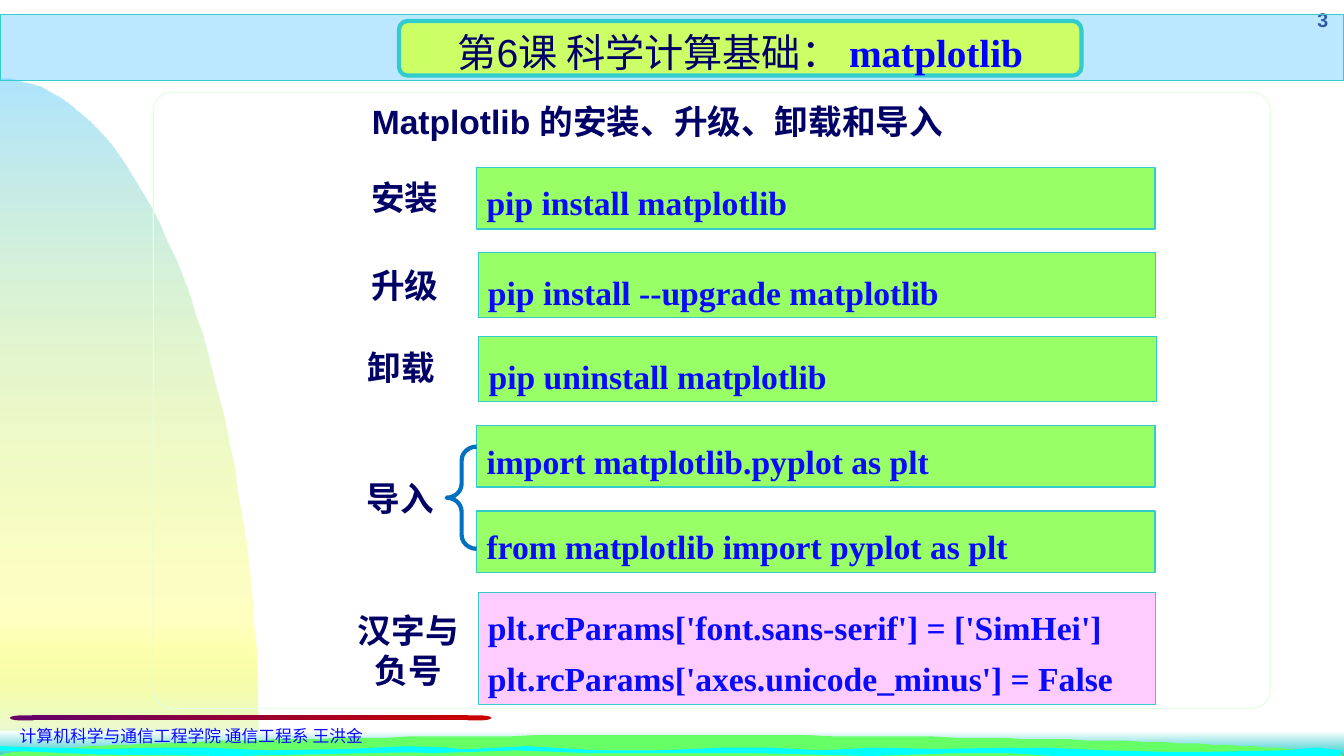
"""Build the slide on installing, upgrading, removing and importing matplotlib."""
from dataclasses import dataclass

from pptx import Presentation
from pptx.dml.color import RGBColor
from pptx.enum.shapes import MSO_SHAPE as Preset
from pptx.enum.text import MSO_ANCHOR as Anchor, MSO_AUTO_SIZE as AutoSize, PP_ALIGN as Align
from pptx.oxml import parse_xml
from pptx.oxml.ns import nsdecls, qn
from pptx.util import Pt

WHITE = RGBColor(0xFF, 0xFF, 0xFF)
NAVY = RGBColor(0x00, 0x00, 0x66)
BLUE = RGBColor(0x00, 0x00, 0xFF)
CODE_BLUE = RGBColor(0x0A, 0x0A, 0xFF)
BRACE_BLUE = RGBColor(0x00, 0x70, 0xC0)
SKY = RGBColor(0x66, 0xCC, 0xFF)
PALE_SKY = RGBColor(0xDF, 0xF9, 0xF9)
TEAL = RGBColor(0x33, 0xCC, 0xCC)
CYAN = RGBColor(0x00, 0xFF, 0xFF)
YELLOW = RGBColor(0xFF, 0xFF, 0x00)
GREEN = RGBColor(0x99, 0xFF, 0x66)
HILL_GREEN = RGBColor(0x66, 0xFF, 0x66)
PALE_GREEN = RGBColor(0xE1, 0xFF, 0xE1)
LIME = RGBColor(0xCC, 0xFF, 0x66)
PINK = RGBColor(0xFF, 0xCC, 0xFF)
PURPLE = RGBColor(0x66, 0x00, 0x66)
RED = RGBColor(0xC8, 0x00, 0x00)

SANS, SERIF, CHINESE = "Arial", "Times New Roman", "Noto Sans CJK SC"


@dataclass
class Box:
    left: float
    top: float
    width: float
    height: float

    def lengths(self) -> tuple:
        return Pt(self.left), Pt(self.top), Pt(self.width), Pt(self.height)


@dataclass
class Stop:
    percent: int
    color: RGBColor
    opacity: int = 100


@dataclass
class Label:
    text: str
    box: Box
    wrap: bool = False


@dataclass
class Command:
    lines: list
    box: Box
    spacing: float = 1.25
    border: float = 1
    fill: RGBColor = GREEN


LABELS = [
    Label("安装", Box(258, 123, 63, 36)),
    Label("升级", Box(258, 186, 63, 36)),
    Label("卸载", Box(255.5, 244, 63, 36)),
    Label("导入", Box(255, 338, 63, 36)),
    Label("汉字与负号", Box(245, 432, 93.5, 65.5), True),
]
COMMANDS = [
    Command(["pip install matplotlib"], Box(340.5, 119.5, 484.5, 44)),
    Command(["pip install --upgrade matplotlib"], Box(341.5, 180.5, 484, 46.5), 1.35, 0.75),
    Command(["pip uninstall matplotlib"], Box(342, 240.5, 484, 46.5), 1.35, 0.75),
    Command(["import matplotlib.pyplot as plt"], Box(340.5, 304, 484.5, 44)),
    Command(["from matplotlib import pyplot as plt"], Box(340.5, 365, 484.5, 44)),
    Command(["plt.rcParams['font.sans-serif'] = ['SimHei']", "plt.rcParams['axes.unicode_minus'] = False"],
            Box(341.5, 423, 484, 80), border=0.75, fill=PINK),
]
WAVES = [
    [(698, 535), (746, 534), (790, 535.5), (830, 537), (866, 537), (917, 535.5), (940, 534),
     (958, 535.5), (957, 540), (816, 540), (753, 540), (719, 538), (675, 538.5)],
    [(725, 533.5), (722, 536.5), (680, 538.5), (622, 540), (582, 539), (539, 538), (485, 538.5),
     (421, 538), (369, 536.5), (308, 538), (287, 537), (298, 535.5), (337, 535), (376, 533),
     (428, 535.5), (471, 535.5), (518, 533.5), (550, 534), (586, 535.5), (624, 534), (667, 535)],
    [(312, 537), (261, 538), (166, 540), (71, 539), (0, 536.5), (0, 533), (32, 534), (76, 535),
     (110, 533.5), (147, 533.5), (192, 535.5), (248, 535), (290, 533), (320, 534), (336, 536.5)],
]


def curve(start: tuple, first: tuple, second: tuple, end: tuple, steps: int = 40) -> list:
    """Sample a cubic Bezier curve."""
    weights = [((1 - t) ** 3, 3 * t * (1 - t) ** 2, 3 * t * t * (1 - t), t ** 3)
               for t in (step / steps for step in range(steps + 1))]
    return [tuple(sum(weight * point[axis] for weight, point in zip(row, (start, first, second, end)))
                  for axis in (0, 1)) for row in weights]


def style(shape, fill: RGBColor = None, line: RGBColor = None, width: float = 0.75):
    """Set fill and outline, and drop the shadow."""
    shape.shadow.inherit = False
    if fill is None:
        shape.fill.background()
    else:
        shape.fill.solid()
        shape.fill.fore_color.rgb = fill
    if line is None:
        shape.line.fill.background()
    else:
        shape.line.color.rgb = line
        shape.line.width = Pt(width)
    return shape


def add_preset(page, preset: Preset, box: Box, fill: RGBColor = None, line: RGBColor = None,
               width: float = 0.75, corner: float = None):
    """Add a styled preset shape."""
    shape = page.shapes.add_shape(preset, *box.lengths())
    if corner is not None:
        shape.adjustments[0] = corner
    return style(shape, fill, line, width)


def add_outline(page, points: list, fill: RGBColor):
    """Add a filled polygon."""
    builder = page.shapes.build_freeform(*points[0], scale=Pt(1))
    builder.add_line_segments(points[1:], close=True)
    return style(builder.convert_to_shape(), fill)


def set_gradient(shape, stops: list, angle: int) -> None:
    """Replace the solid fill by a linear gradient."""
    marks = "".join(
        f'<a:gs pos="{stop.percent * 1000}"><a:srgbClr val="{stop.color}">'
        f'<a:alpha val="{stop.opacity * 1000}"/></a:srgbClr></a:gs>' for stop in stops)
    gradient = parse_xml(f'<a:gradFill {nsdecls("a")} rotWithShape="1"><a:gsLst>{marks}</a:gsLst>'
                         f'<a:lin ang="{angle * 60000}" scaled="0"/></a:gradFill>')
    properties = shape.element.spPr
    properties.replace(properties.find(qn("a:solidFill")), gradient)


def set_font(font, size: float, color: RGBColor, name: str = SANS, bold: bool = False) -> None:
    """Format one font."""
    font.size, font.bold, font.name = Pt(size), bold, name
    font.color.rgb = color


def write(shape, lines: list, size: float, color: RGBColor, name: str = SANS, bold: bool = True,
          align: Align = Align.LEFT, spacing: float = 1, wrap: bool = True) -> None:
    """Write equally formatted paragraphs from the top of a shape."""
    frame = shape.text_frame
    frame.word_wrap, frame.auto_size, frame.vertical_anchor = wrap, AutoSize.NONE, Anchor.TOP
    frame.text = "\n".join(lines)
    for para in frame.paragraphs:
        para.alignment, para.line_spacing = align, spacing
        set_font(para.font, size, color, name, bold)


def add_text(page, box: Box, text: str, size: float, color: RGBColor, **options) -> None:
    """Add a one-paragraph text box."""
    write(page.shapes.add_textbox(*box.lengths()), [text], size, color, **options)


def draw_backdrop(page) -> None:
    """Draw the decoration, page number and footer."""
    wedge = add_outline(page, curve((0, 56), (102, 56), (185, 273), (185, 540)) + [(0, 540)], SKY)
    set_gradient(wedge, [Stop(0, SKY, 52), Stop(80, YELLOW, 23), Stop(100, PALE_SKY)], 90)
    ground = add_preset(page, Preset.RECTANGLE, Box(0, 522, 960, 18), WHITE)
    set_gradient(ground, [Stop(0, WHITE), Stop(100, TEAL)], 90)
    add_outline(page, curve((0, 540), (0, 533), (215, 525), (479.5, 525))
                + curve((479.5, 525), (744, 525), (959, 533), (959, 540)), HILL_GREEN)
    for wave in WAVES:
        add_outline(page, wave, CYAN)
    add_text(page, Box(895.5, 2, 60.5, 24), "3", 14, NAVY, align=Align.RIGHT)
    add_preset(page, Preset.ROUNDED_RECTANGLE, Box(109.5, 66, 798, 440), line=PALE_GREEN, corner=0.03)
    rule = add_preset(page, Preset.ROUNDED_RECTANGLE, Box(23, 511, 311, 3.6), PURPLE, corner=0)
    set_gradient(rule, [Stop(0, PURPLE), Stop(100, RED)], 0)
    for left, color, flip in ((7, PURPLE, "flipH"), (334, RED, "flipV")):
        cap = add_preset(page, Preset.FLOWCHART_DELAY, Box(left, 511, 17, 3.6), color)
        cap.element.spPr.xfrm.set(flip, "1")
    add_text(page, Box(7, 515, 351, 22), "计算机科学与通信工程学院 通信工程系 王洪金", 12, CODE_BLUE, bold=False)
    band = add_preset(page, Preset.RECTANGLE, Box(0, 10.5, 960, 47), SKY, TEAL)
    set_gradient(band, [Stop(0, SKY, 43), Stop(100, SKY, 43)], 90)


def draw_title(page) -> None:
    """Draw the banner and put the title placeholder on it."""
    box = Box(285, 15, 487.5, 39)
    banner = add_preset(page, Preset.ROUNDED_RECTANGLE, box, LIME, TEAL, 3, 0.16)
    title = page.shapes.title
    title.left, title.top, title.width, title.height = box.lengths()
    banner.element.addnext(title.element)
    frame = title.text_frame
    frame.auto_size, frame.vertical_anchor = AutoSize.NONE, Anchor.MIDDLE
    para = frame.paragraphs[0]
    para.alignment, para.line_spacing = Align.CENTER, 1.15
    for text, name, color, bold in (("第6课 科学计算基础： ", SANS, NAVY, False),
                                    ("matplotlib", SERIF, BLUE, True)):
        span = para.add_run()
        span.text = text
        set_font(span.font, 28, color, name, bold)


def main() -> None:
    """Build and save the deck."""
    deck = Presentation()
    deck.slide_width, deck.slide_height = Pt(960), Pt(540)
    page = deck.slides.add_slide(deck.slide_layouts[5])
    draw_backdrop(page)
    draw_title(page)
    add_text(page, Box(258.5, 68.5, 459.5, 36), "Matplotlib 的安装、升级、卸载和导入", 24, NAVY)
    for command in COMMANDS:
        shape = add_preset(page, Preset.RECTANGLE, command.box, command.fill, TEAL, command.border)
        write(shape, command.lines, 24, CODE_BLUE, SERIF, spacing=command.spacing)
    brace = add_preset(page, Preset.LEFT_BRACE, Box(319, 319, 21.5, 73), line=BRACE_BLUE, width=3)
    brace.adjustments[0] = 0.46
    for label in LABELS:
        add_text(page, label.box, label.text, 24, NAVY, wrap=label.wrap,
                 align=Align.CENTER if label.wrap else Align.LEFT)
    for latin in list(page.element.iter(qn("a:latin"))):
        latin.addnext(parse_xml(f'<a:ea {nsdecls("a")} typeface="{CHINESE}"/>'))
    deck.save("out.pptx")


if __name__ == "__main__":
    main()
